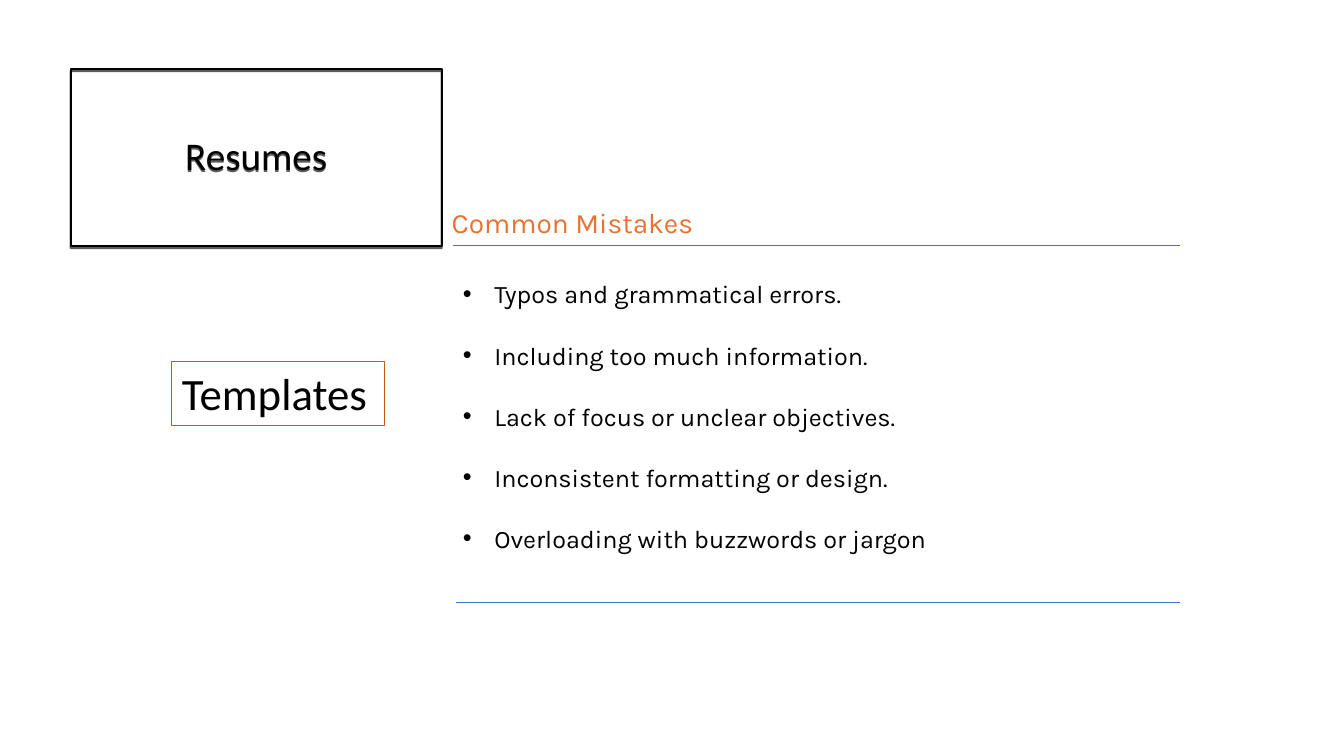
from dataclasses import dataclass

from lxml import etree
from pptx import Presentation
from pptx.dml.color import RGBColor
from pptx.enum.shapes import MSO_CONNECTOR, MSO_SHAPE
from pptx.enum.text import MSO_ANCHOR, PP_ALIGN
from pptx.oxml.ns import qn
from pptx.util import Pt

RECTANGLE = MSO_SHAPE.RECTANGLE
STRAIGHT = MSO_CONNECTOR.STRAIGHT
MIDDLE, TOP = MSO_ANCHOR.MIDDLE, MSO_ANCHOR.TOP
CENTER, LEFT = PP_ALIGN.CENTER, PP_ALIGN.LEFT


@dataclass(frozen=True)
class Theme:
    ink: str = "000000"
    rule: str = "4472C4"
    heading: str = "E97132"
    frame: str = "C55A11"
    label_font: str = "Calibri"
    body_font: str = "Karla"
    title_size: float = 28
    template_size: float = 32
    heading_size: float = 20
    body_size: float = 18


@dataclass(frozen=True)
class Box:
    left: float
    top: float
    width: float
    height: float

    def lengths(self):
        return [Pt(value) for value in (self.left, self.top, self.width, self.height)]


THEME = Theme()
MISTAKES = (
    "Typos and grammatical errors.",
    "Including too much information.",
    "Lack of focus or unclear objectives.",
    "Inconsistent formatting or design.",
    "Overloading with buzzwords or jargon",
)


def style_para(para, text, font, size, color):
    para.text = text
    para.font.name = font
    para.font.size = Pt(size)
    para.font.color.rgb = RGBColor.from_string(color)


def add_framed_label(page, box, text, size, color, weight):
    frame = page.shapes.add_shape(RECTANGLE, *box.lengths())
    frame.shadow.inherit = False
    frame.fill.background()
    frame.line.color.rgb = RGBColor.from_string(color)
    frame.line.width = Pt(weight)
    style_para(frame.text_frame.paragraphs[0], text, THEME.label_font, size, THEME.ink)
    return frame


def add_title(page, box):
    title = add_framed_label(page, box, "Resumes", THEME.title_size, THEME.ink, 1.5)
    title.text_frame.vertical_anchor = MIDDLE
    para = title.text_frame.paragraphs[0]
    para.alignment = CENTER
    para.line_spacing = 0.9
    effects = title._element.spPr.find(qn("a:effectLst"))
    shadow = etree.SubElement(effects, qn("a:outerShdw"), dist=str(Pt(1.5)),
                              dir="5400000", algn="ctr", rotWithShape="0")
    color = etree.SubElement(shadow, qn("a:srgbClr"), val=THEME.ink)
    etree.SubElement(color, qn("a:alpha"), val="63000")


def add_templates(page, box):
    label = add_framed_label(page, box, "Templates", THEME.template_size, THEME.frame, 0.75)
    label.text_frame.word_wrap = False
    label.text_frame.vertical_anchor = TOP
    label.text_frame.paragraphs[0].alignment = LEFT


def add_rule(page, left, right, height):
    rule = page.shapes.add_connector(STRAIGHT, Pt(left), Pt(height), Pt(right), Pt(height))
    rule.line.color.rgb = RGBColor.from_string(THEME.rule)
    rule.line.width = Pt(0.5)
    etree.SubElement(rule._element.spPr, qn("a:effectLst"))


def add_bullet(para, indent):
    properties = para._p.get_or_add_pPr()
    properties.set("marL", str(Pt(indent)))
    properties.set("indent", str(-Pt(indent)))
    etree.SubElement(properties, qn("a:buFont"), typeface="Arial")
    etree.SubElement(properties, qn("a:buChar"), char="•")


def add_text(page, box):
    frame = page.shapes.add_textbox(*box.lengths()).text_frame
    frame.word_wrap = True
    return frame


def add_mistakes(page, box):
    right = box.left + box.width
    add_rule(page, box.left, right, box.top + 32.4)
    add_rule(page, box.left + 2, right, box.top + box.height)

    heading = add_text(page, Box(box.left - 8, box.top, 480, 31.5))
    style_para(heading.paragraphs[0], "Common Mistakes",
               THEME.body_font, THEME.heading_size, THEME.heading)

    body = add_text(page, Box(box.left, box.top + 52.5, box.width, 204))
    for index, mistake in enumerate(MISTAKES):
        para = body.add_paragraph() if index else body.paragraphs[0]
        style_para(para, mistake, THEME.body_font, THEME.body_size, THEME.ink)
        if index:
            para.space_before = Pt(22)
        add_bullet(para, 22.5)


def main():
    deck = Presentation()
    deck.slide_width, deck.slide_height = Pt(960), Pt(540)
    page = deck.slides.add_slide(deck.slide_layouts[6])
    add_title(page, Box(50.5, 49.2, 265, 126.6))
    add_mistakes(page, Box(323.5, 143.1, 519.5, 287))
    add_templates(page, Box(122.8, 258, 152, 46))
    deck.save("out.pptx")


if __name__ == "__main__":
    main()
